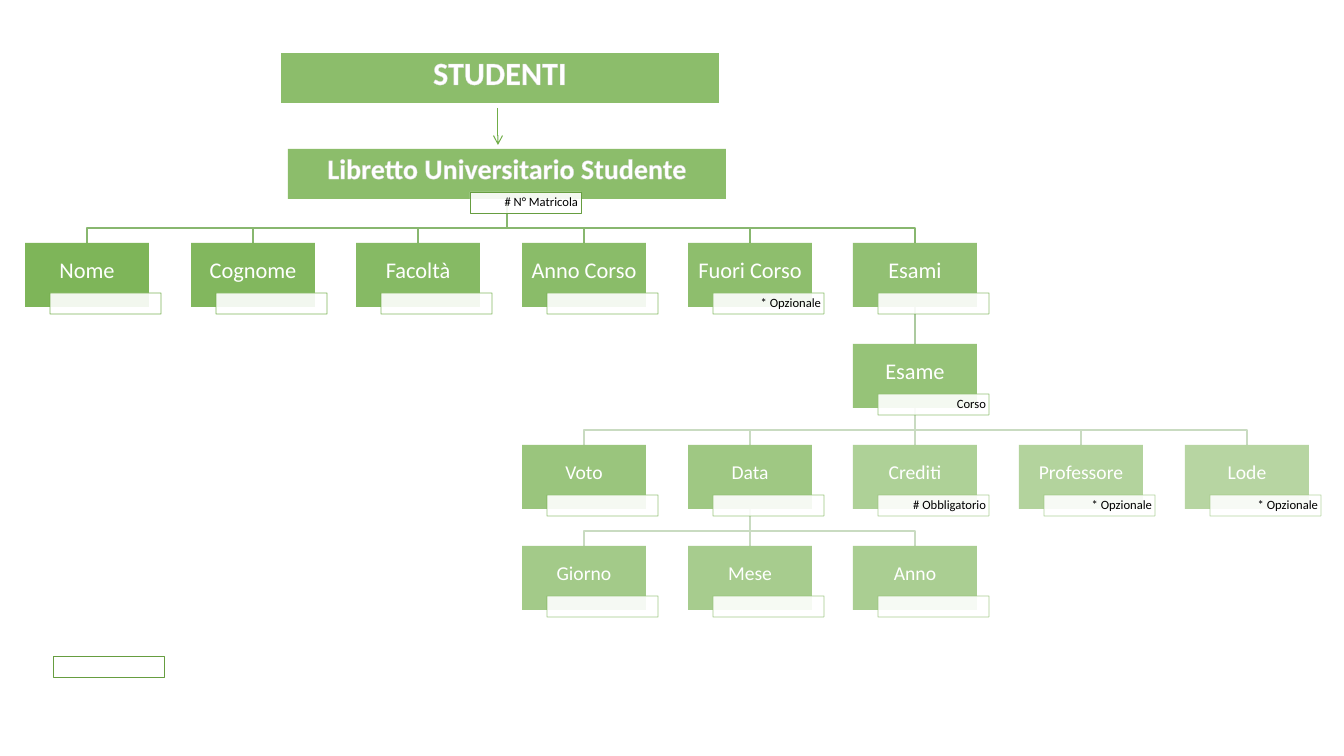
"""Build the student record tree slide."""
from lxml import etree
from pptx import Presentation
from pptx import util as u
from pptx.dml import color
from pptx.enum import shapes, text
from pptx.oxml import ns

PX = 914400 / 100.8
HUES = {"box": "70AD47", "edge": "669D40", "tag": "FFFFFF", "note": "000000",
        "label": "FFFFFF", "glow": "D9D9D9",
        "top": "88B76F", "mid": "ACCA9F", "low": "C9DBC1"}
LEFT, STEP, TOP, DROP = 25, 165.65, 243, 101
WIDE, HIGH = 124, 64
TAG = (111, 21)
ROOT = (288, 149, 438, 50)
HEAD = (281, 53, 438, 50)
NODES = [
    ("Nome", 0, 0, ""), ("Cognome", 1, 0, ""), ("Facoltà", 2, 0, ""),
    ("Anno Corso", 3, 0, ""), ("Fuori Corso", 4, 0, "* Opzionale"),
    ("Esami", 5, 0, ""), ("Esame", 5, 1, "Corso"), ("Voto", 3, 2, ""),
    ("Data", 4, 2, ""), ("Giorno", 3, 3, ""), ("Mese", 4, 3, ""),
    ("Anno", 5, 3, ""), ("Crediti", 5, 2, "# Obbligatorio"),
    ("Professore", 6, 2, "* Opzionale"), ("Lode", 7, 2, "* Opzionale"),
]
LINKS = [
    ("low", "Esame", ["Lode", "Professore", "Crediti", "Data", "Voto"]),
    ("low", "Data", ["Anno", "Mese", "Giorno"]),
    ("mid", "Esami", ["Esame"]),
    ("top", None, ["Esami", "Fuori Corso", "Anno Corso", "Facoltà", "Cognome", "Nome"]),
]
LABEL = {"align": text.PP_ALIGN.CENTER, "hue": "label", "pads": (1, 1, 1, 9)}
NOTE = {"align": text.PP_ALIGN.RIGHT, "hue": "note", "pads": (3, 1, 3, 1)}


def emu(*vals):
    """Turn pixels into EMU."""
    return [u.Emu(round(v * PX)) for v in vals]


def rgb(name):
    """Look up a named colour."""
    return color.RGBColor.from_string(HUES[name])


def put(item, vals):
    """Set attributes from a dict."""
    for key, val in vals.items():
        setattr(item, key, val)


def fade(part, pct):
    """Set the opacity of every colour below an element."""
    for hue in part.iter(ns.qn("a:srgbClr")):
        etree.SubElement(hue, ns.qn("a:alpha"), val=str(round(pct * 1000)))


def write(shape, words, size, look, bold=False):
    """Put one formatted line of text in a shape."""
    frame = shape.text_frame
    sides = ("margin_left", "margin_top", "margin_right", "margin_bottom")
    put(frame, dict(zip(sides, emu(*look["pads"]))))
    put(frame, {"word_wrap": True, "auto_size": text.MSO_AUTO_SIZE.NONE,
                "vertical_anchor": text.MSO_ANCHOR.MIDDLE})
    para = frame.paragraphs[0]
    put(para, {"alignment": look["align"], "line_spacing": 0.9})
    run = para.add_run()
    run.text = words
    put(run.font, {"name": "Calibri", "size": u.Pt(size), "bold": bold})
    run.font.color.rgb = rgb(look["hue"])
    return run


def trim(run):
    """Give a run a thin outline."""
    line = etree.Element(ns.qn("a:ln"), w=str(u.Pt(1)))
    fill = etree.SubElement(line, ns.qn("a:solidFill"))
    etree.SubElement(fill, ns.qn("a:srgbClr"), val=HUES["glow"])
    run.font._element.insert(0, line)


def block(slide, area, hue, pct):
    """Add a plain translucent rectangle."""
    shape = slide.shapes.add_shape(shapes.MSO_SHAPE.RECTANGLE, *emu(*area))
    shape.shadow.inherit = False
    shape.fill.solid()
    shape.fill.fore_color.rgb = rgb(hue)
    fade(shape.element.spPr, pct)
    shape.line.fill.background()
    return shape


def tag(slide, x, y, words="", hue="edge", pct=100):
    """Add a small outlined tag, with a note if there is one."""
    shape = block(slide, (x, y, *TAG), "tag", 90)
    shape.line.width = u.Pt(0.5)
    shape.line.color.rgb = rgb(hue)
    if pct < 100:
        fade(shape.line._get_or_add_ln(), pct)
    if words:
        write(shape, words, 9, NOTE)


def spot(col, row):
    """Return the top left corner of a node."""
    return round(LEFT + col * STEP), TOP + row * DROP


def node(slide, rank, label, col, row, note):
    """Add a node box and its tag, paler with each rank."""
    x, y = spot(col, row)
    pct = 90 - 40 * rank / (len(NODES) - 1)
    box = block(slide, (x, y, WIDE, HIGH), "box", pct)
    write(box, label, 16 if row < 2 else 14, LABEL)
    tag(slide, x + 25, y + 50, note, "box", pct)


def line(slide, start, end, hue, width):
    """Add a straight connector."""
    wire = slide.shapes.add_connector(
        shapes.MSO_CONNECTOR.STRAIGHT, *emu(*start, *end))
    wire.line.color.rgb = rgb(hue)
    wire.line.width = u.Pt(width)
    etree.SubElement(wire.element.spPr, ns.qn("a:effectLst"))
    return wire


def elbow(slide, start, end, hue):
    """Add a bent link, or a straight one below its parent."""
    if start[0] == end[0]:
        line(slide, start, end, hue, 1)
        return
    bend = end[1] - 15
    path = slide.shapes.build_freeform(*start, scale=PX)
    path.add_line_segments([(start[0], bend), (end[0], bend), end], close=False)
    shape = path.convert_to_shape()
    shape.shadow.inherit = False
    shape.fill.background()
    shape.line.color.rgb = rgb(hue)
    shape.line.width = u.Pt(1)


def tree(slide):
    """Draw the links, then the nodes above them."""
    spots = {label: spot(col, row) for label, col, row, _ in NODES}
    for hue, top, kids in LINKS:
        if top:
            x, y = spots[top]
            start = (x + WIDE // 2, y + HIGH)
        else:
            start = (ROOT[0] + ROOT[2] // 2, ROOT[1] + ROOT[3])
        for kid in kids:
            x, y = spots[kid]
            elbow(slide, start, (x + WIDE // 2, y), hue)
    root = block(slide, ROOT, "box", 80)
    trim(write(root, "Libretto Universitario Studente", 20, LABEL, True))
    tag(slide, 470, 192, "# N° Matricola")
    for rank, item in enumerate(NODES):
        node(slide, rank, *item)


def head(slide):
    """Format the title as the top box."""
    title = slide.shapes.title
    put(title, dict(zip(("left", "top", "width", "height"), emu(*HEAD))))
    title.fill.solid()
    title.fill.fore_color.rgb = rgb("box")
    fade(title.element.spPr, 80)
    trim(write(title, "STUDENTI", 23, {**LABEL, "pads": (2, 2, 2, 9)}, True))


def main():
    """Build and save the deck."""
    deck = Presentation()
    put(deck, dict(zip(("slide_width", "slide_height"), emu(1344, 756))))
    slide = deck.slides.add_slide(deck.slide_layouts[5])
    tree(slide)
    head(slide)
    tag(slide, 53, 656)
    arrow = line(slide, (498, 108), (498, 145), "box", 0.75)
    etree.SubElement(arrow.line._get_or_add_ln(), ns.qn("a:tailEnd"), type="arrow")
    deck.save("out.pptx")


main()
